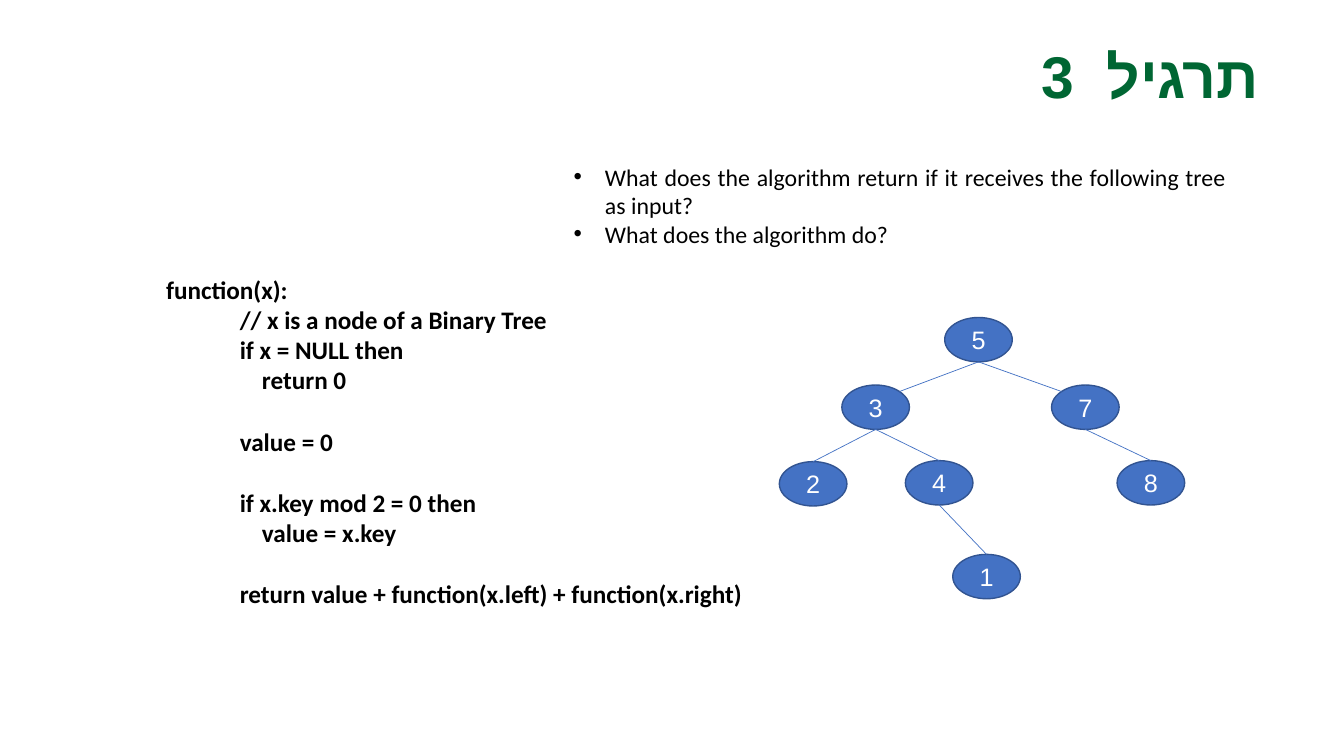
from lxml import etree
from pptx import Presentation
from pptx.dml.color import RGBColor
from pptx.enum.shapes import MSO_CONNECTOR, MSO_SHAPE
from pptx.enum.text import MSO_ANCHOR, MSO_AUTO_SIZE, PP_ALIGN
from pptx.oxml.ns import qn
from pptx.util import Inches, Pt

ELLIPSE, STRAIGHT = MSO_SHAPE.OVAL, MSO_CONNECTOR.STRAIGHT
MIDDLE, TOP, NO_FIT = MSO_ANCHOR.MIDDLE, MSO_ANCHOR.TOP, MSO_AUTO_SIZE.NONE
LEFT, CENTER, RIGHT, JUSTIFY = PP_ALIGN.LEFT, PP_ALIGN.CENTER, PP_ALIGN.RIGHT, PP_ALIGN.JUSTIFY

TITLE = "תרגיל  3"
QUESTIONS = [
    "What does the algorithm return if it receives the following tree as input?",
    "What does the algorithm do?",
]
# Indent level, text; each inner list is a block set off by one line of space
CODE_BLOCKS = [
    [(0, "function(x):"), (1, "// x is a node of a Binary Tree"),
     (1, "if x = NULL then"), (2, "return 0")],
    [(1, "value = 0")],
    [(1, "if x.key mod 2 = 0 then"), (2, "value = x.key")],
    [(1, "return value + function(x.left) + function(x.right)")],
]
CODE_INDENTS = (0, 0.73, 0.95)
CODE_LINE = 22

# Key: left, top of the node
NODES = {
    5: (9.37, 3.15),
    3: (8.35, 3.82), 7: (10.43, 3.82),
    2: (7.73, 4.58), 4: (8.98, 4.57), 8: (11.08, 4.57),
    1: (9.45, 5.5),
}
NODE_WIDTH, NODE_HEIGHT = 0.67, 0.44
# Parent, child, side of the child's outline that the edge meets (-1, 0 or 1)
EDGES = [(5, 3, 1), (5, 7, -1), (3, 2, 0), (3, 4, 0), (7, 8, 0), (4, 1, 0)]
DIAGONAL = 0.71


def color(value):
    return RGBColor.from_string(value)


def place(shape, left, top, width, height):
    shape.left, shape.top = Inches(left), Inches(top)
    shape.width, shape.height = Inches(width), Inches(height)


def style(paragraph, size, font_color, align, bold=False, name="Calibri"):
    paragraph.alignment = align
    paragraph.space_before = Pt(0)
    font = paragraph.font
    font.name, font.size, font.bold = name, Pt(size), bold
    font.color.rgb = color(font_color)


def make_right_to_left(paragraph):
    """Set the direction, and the font of right-to-left text."""
    paragraph._p.get_or_add_pPr().set("rtl", "1")
    for run in paragraph.runs:
        properties = run._r.get_or_add_rPr()
        properties.set("lang", "he-IL")
        etree.SubElement(properties, qn("a:cs")).set("typeface", "Arial")


def indent(paragraph, margin, first_line=0):
    properties = paragraph._p.get_or_add_pPr()
    properties.set("marL", str(Inches(margin)))
    properties.set("indent", str(Inches(first_line)))


def add_title(slide):
    title = slide.shapes.title
    place(title, 3.59, 0.29, 9, 0.9)
    frame = title.text_frame
    frame.text = TITLE
    frame.auto_size, frame.vertical_anchor = NO_FIT, MIDDLE
    paragraph = frame.paragraphs[0]
    style(paragraph, 42, "006633", RIGHT, True, "Times New Roman")
    make_right_to_left(paragraph)


def add_questions(slide):
    body = slide.placeholders[1]
    place(body, 5.59, 1.56, 6.67, 0.96)
    frame = body.text_frame
    frame.text = "\n".join(QUESTIONS)
    frame.auto_size, frame.vertical_anchor = NO_FIT, TOP
    for paragraph in frame.paragraphs:
        style(paragraph, 17, "000000", JUSTIFY)
        indent(paragraph, 0.31, -0.31)


def add_code(slide):
    box = slide.shapes.add_textbox(Inches(1.55), Inches(2.67), Inches(6.67), Inches(3.43))
    frame = box.text_frame
    frame.word_wrap = True
    frame.text = "\n".join(text for block in CODE_BLOCKS for _, text in block)
    paragraphs = iter(frame.paragraphs)
    for block_number, block in enumerate(CODE_BLOCKS):
        for line_number, (level, _) in enumerate(block):
            paragraph = next(paragraphs)
            style(paragraph, 18, "000000", LEFT, True)
            indent(paragraph, CODE_INDENTS[level])
            if block_number and line_number == 0:
                paragraph.space_before = Pt(CODE_LINE)


def add_node(slide, key):
    left, top = NODES[key]
    node = slide.shapes.add_shape(ELLIPSE, Inches(left), Inches(top),
                                  Inches(NODE_WIDTH), Inches(NODE_HEIGHT))
    node.shadow.inherit = False
    node.fill.solid()
    node.fill.fore_color.rgb = color("4472C4")
    node.line.color.rgb = color("325491")
    node.line.width = Pt(1)
    frame = node.text_frame
    frame.text = str(key)
    frame.vertical_anchor = MIDDLE
    style(frame.paragraphs[0], 18, "FFFFFF", CENTER)
    make_right_to_left(frame.paragraphs[0])


def add_edge(slide, parent, child, side):
    parent_left, parent_top = NODES[parent]
    child_left, child_top = NODES[child]
    rise = DIAGONAL if side else 1
    start = parent_left + NODE_WIDTH / 2, parent_top + NODE_HEIGHT
    end = (child_left + NODE_WIDTH / 2 * (1 + side * DIAGONAL),
           child_top + NODE_HEIGHT / 2 * (1 - rise))
    edge = slide.shapes.add_connector(STRAIGHT, *(Inches(value) for value in start + end))
    edge.line.color.rgb = color("4472C4")
    edge.line.width = Pt(0.5)
    etree.SubElement(edge._element.spPr, qn("a:effectLst"))


def main():
    presentation = Presentation()
    presentation.slide_width, presentation.slide_height = Inches(13.33), Inches(7.5)
    slide = presentation.slides.add_slide(presentation.slide_layouts[1])
    add_title(slide)
    for key in NODES:
        add_node(slide, key)
    for edge in EDGES:
        add_edge(slide, *edge)
    add_code(slide)
    add_questions(slide)
    presentation.save("out.pptx")


if __name__ == "__main__":
    main()
